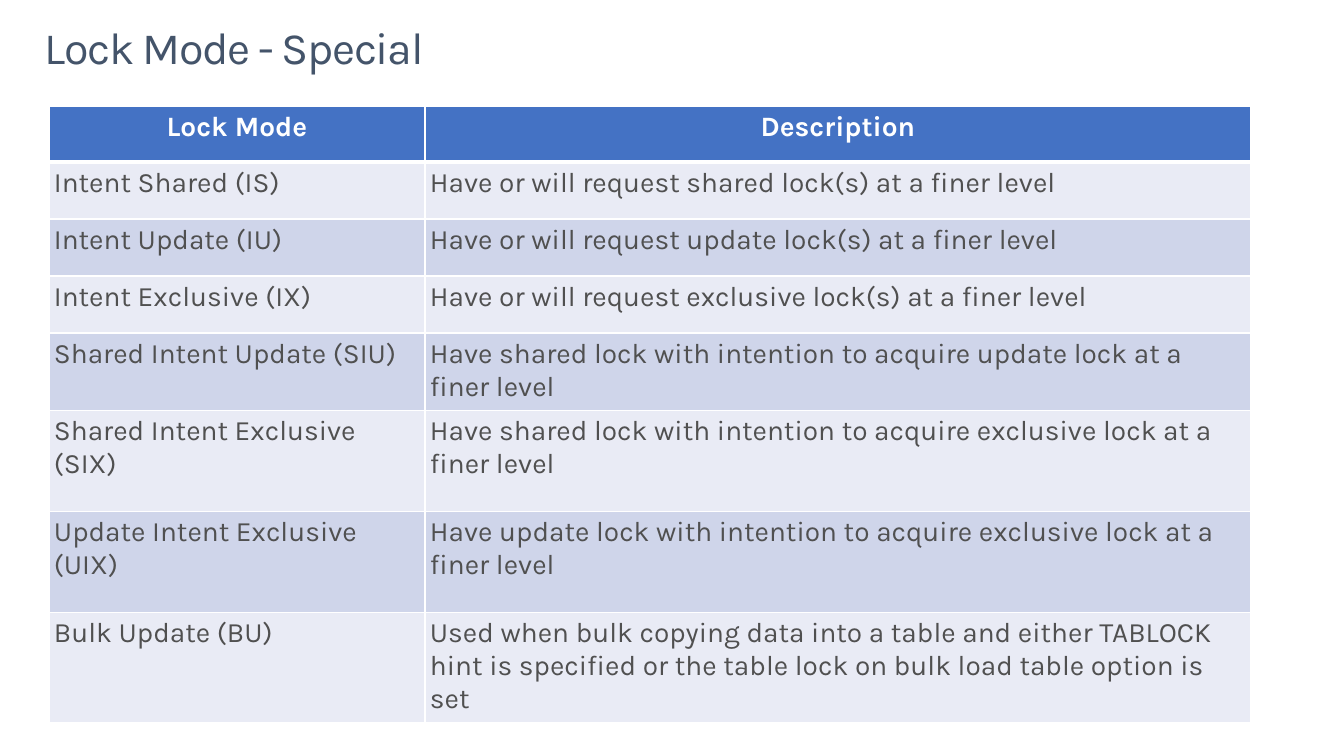
from lxml import etree
from pptx import Presentation
from pptx.dml.color import RGBColor
from pptx.enum.text import MSO_ANCHOR, PP_ALIGN
from pptx.oxml.ns import qn
from pptx.util import Pt

TOP = MSO_ANCHOR.TOP
LEFT, CENTER = PP_ALIGN.LEFT, PP_ALIGN.CENTER
FONT = "Karla"
WHITE, TITLE_COLOR, BODY_COLOR = "FFFFFF", "44546A", "505050"
HEADER_FILL, BAND_FILLS = "4472C4", ("E9EBF5", "CFD5EA")

TITLE = "Lock Mode - Special"
ROWS = [
    ("Lock Mode", "Description"),
    ("Intent Shared (IS)", "Have or will request shared lock(s) at a finer level"),
    ("Intent Update (IU)", "Have or will request update lock(s) at a finer level"),
    ("Intent Exclusive (IX)", "Have or will request exclusive lock(s) at a finer level"),
    ("Shared Intent Update (SIU)",
     "Have shared lock with intention to acquire update lock at a finer level"),
    ("Shared Intent Exclusive (SIX)",
     "Have shared lock with intention to acquire exclusive lock at a finer level"),
    ("Update Intent Exclusive (UIX)",
     "Have update lock with intention to acquire exclusive lock at a finer level"),
    ("Bulk Update (BU)",
     "Used when bulk copying data into a table and either TABLOCK hint is specified "
     "or the table lock on bulk load table option is set"),
]
COL_WIDTHS = (376, 826)
ROW_HEIGHTS = (56, 57, 57, 57, 76, 101, 101, 101)


def px(n):
    return round(n * 914400 / 100.8)


def rgb(color):
    return RGBColor.from_string(color)


def format_run(r, size, color, bold=False):
    r.font.name = FONT
    r.font.size = Pt(size)
    r.font.bold = bold
    r.font.color.rgb = rgb(color)


def set_margins(box, x, y):
    box.margin_left = box.margin_right = px(x)
    box.margin_top = box.margin_bottom = px(y)


def add_border(cell, side, points):
    tcPr = cell._tc.get_or_add_tcPr()
    ln = etree.SubElement(tcPr, qn(f"a:ln{side}"), w=str(Pt(points)))
    fill = etree.SubElement(ln, qn("a:solidFill"))
    etree.SubElement(fill, qn("a:srgbClr"), val=WHITE)


def add_title(slide):
    s = slide.shapes.add_textbox(px(29), px(16), px(1285), px(99))
    tf = s.text_frame
    tf.word_wrap = True
    tf.vertical_anchor = TOP
    set_margins(tf, 16, 10)
    tf.text = TITLE
    p = tf.paragraphs[0]
    p.line_spacing = 0.9
    r = p.runs[0]
    format_run(r, 32, TITLE_COLOR)
    r.font._element.set("spc", "-100")


def fill_cell(cell, text, row):
    header = row == 0
    set_margins(cell, 5, 5)
    cell.vertical_anchor = TOP
    cell.text = text
    p = cell.text_frame.paragraphs[0]
    p.alignment = CENTER if header else LEFT
    format_run(p.runs[0], 20, WHITE if header else BODY_COLOR, header)
    for side, points in (("L", 1), ("R", 1), ("T", 3 if row == 1 else 1), ("B", 3 if header else 1)):
        add_border(cell, side, points)
    cell.fill.solid()
    cell.fill.fore_color.rgb = rgb(HEADER_FILL if header else BAND_FILLS[(row - 1) % 2])


def add_lock_table(slide):
    s = slide.shapes.add_table(len(ROWS), len(COL_WIDTHS), px(49), px(106),
                               px(sum(COL_WIDTHS)), px(sum(ROW_HEIGHTS)))
    table = s.table
    for column, width in zip(table.columns, COL_WIDTHS):
        column.width = px(width)
    for i, (texts, height) in enumerate(zip(ROWS, ROW_HEIGHTS)):
        table.rows[i].height = px(height)
        for j, text in enumerate(texts):
            fill_cell(table.cell(i, j), text, i)


def main():
    prs = Presentation()
    prs.slide_width, prs.slide_height = px(1344), px(756)
    slide = prs.slides.add_slide(prs.slide_layouts[6])
    add_title(slide)
    add_lock_table(slide)
    prs.save("out.pptx")


if __name__ == "__main__":
    main()
